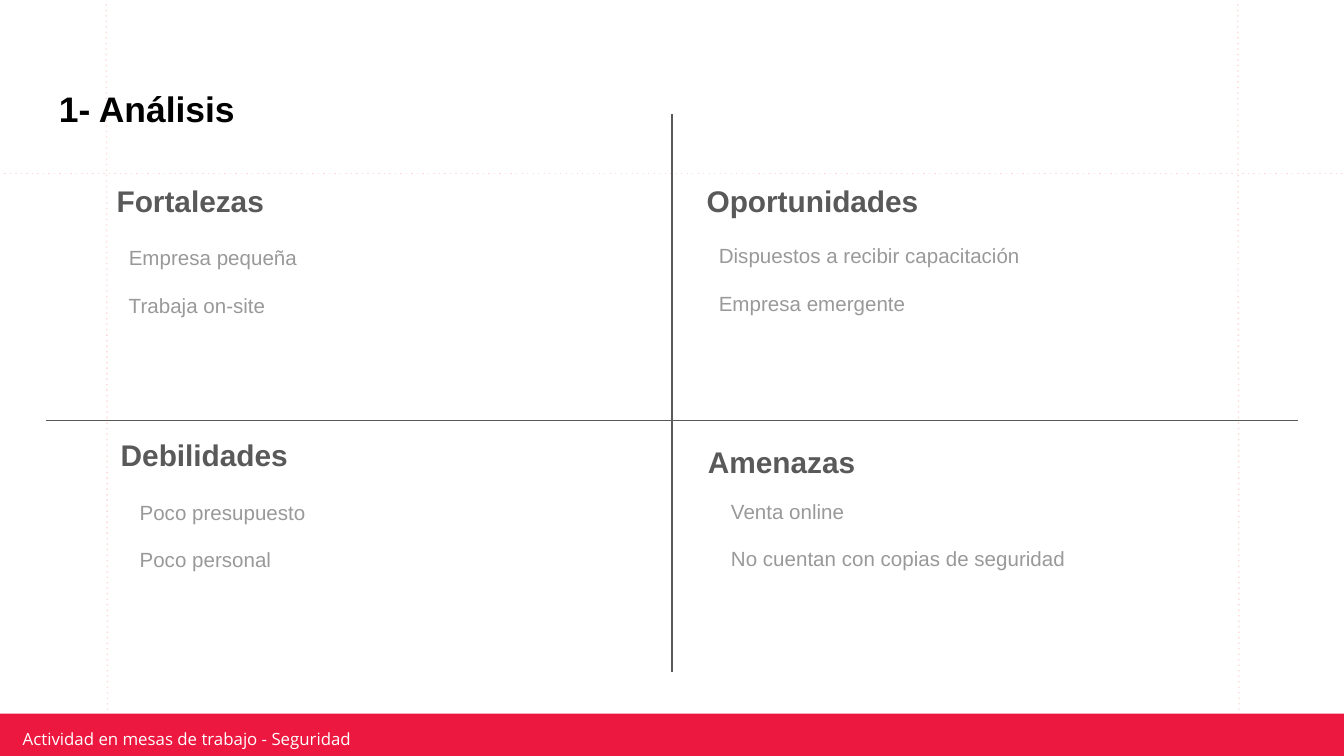
from dataclasses import dataclass

from lxml.etree import SubElement
from pptx import Presentation
from pptx.dml.color import RGBColor
from pptx.enum.shapes import MSO_CONNECTOR, MSO_SHAPE
from pptx.enum.text import MSO_ANCHOR, MSO_AUTO_SIZE
from pptx.oxml.ns import qn
from pptx.slide import Slide
from pptx.util import Pt


@dataclass(frozen=True)
class Style:
    size: float
    color: str
    bold: bool = False
    font: str = "Arial"
    anchor: MSO_ANCHOR = MSO_ANCHOR.TOP
    fit: MSO_AUTO_SIZE = MSO_AUTO_SIZE.SHAPE_TO_FIT_TEXT
    side_inset: float = 7.2
    end_inset: float = 7.2


@dataclass(frozen=True)
class Rule:
    start: tuple[float, float]
    end: tuple[float, float]
    color: str
    dotted: bool = False


@dataclass(frozen=True)
class Item:
    text: str
    width: float


@dataclass(frozen=True)
class Quadrant:
    heading: Item
    heading_at: tuple[float, float]
    items_at: tuple[float, float]
    items: tuple[Item, ...]
    pitch: float = 25.2


WIDTH, HEIGHT = 720, 405
RED, PINK, DARK, GRAY = "EC183F", "FCD8D6", "595959", "999999"

FOOTER = Style(9, "FFFFFF", font="Open Sans", anchor=MSO_ANCHOR.MIDDLE,
               fit=MSO_AUTO_SIZE.NONE, side_inset=3.6, end_inset=1.44)
TITLE = Style(19, "000000", bold=True, anchor=MSO_ANCHOR.MIDDLE,
              fit=MSO_AUTO_SIZE.NONE)
HEADING = Style(16, DARK, bold=True)
ENTRY = Style(11, GRAY)

GUIDES = (
    Rule((56.9, -0.7), (57.6, 383.8), PINK, True),
    Rule((663.1, -0.7), (663.8, 383.8), PINK, True),
    Rule((-0.7, 92.9), (722.2, 92.9), PINK, True),
    Rule((-1.4, 383), (721.4, 383), PINK, True),
)
AXES = (
    Rule((360, 61.2), (360, 360), DARK),
    Rule((24.5, 225.4), (695.5, 225.4), DARK),
)
QUADRANTS = (
    Quadrant(Item("Fortalezas", 198), (55.4, 90.7), (61.9, 124.6),
             (Item("Empresa pequeña", 135.4), Item("Trabaja on-site", 146.9)),
             25.9),
    Quadrant(Item("Debilidades", 198), (57.6, 226.8), (67.7, 261.4),
             (Item("Poco presupuesto", 236.2), Item("Poco personal", 236.2))),
    Quadrant(Item("Oportunidades", 198), (371.5, 90.7), (378, 123.8),
             (Item("Dispuestos a recibir capacitación", 246.2),
              Item("Empresa emergente", 304.6))),
    Quadrant(Item("Amenazas", 211), (372.2, 230.4), (384.5, 260.6),
             (Item("Venta online", 272.2),
              Item("No cuentan con copias de seguridad", 272.2))),
)


def rgb(color: str) -> RGBColor:
    return RGBColor.from_string(color)


def set_all(target: object, values: dict[str, object]) -> None:
    for name, value in values.items():
        setattr(target, name, value)


def draw_rule(page: Slide, rule: Rule) -> None:
    connector = page.shapes.add_connector(
        MSO_CONNECTOR.STRAIGHT, *map(Pt, rule.start + rule.end))
    connector.line.width = Pt(0.75)
    connector.line.color.rgb = rgb(rule.color)
    properties = connector._element.spPr
    if rule.dotted:
        SubElement(properties.find(qn("a:ln")), qn("a:prstDash"), val="dot")
    SubElement(properties, qn("a:effectLst"))


def draw_bar(page: Slide, left: float, top: float, width: float,
             height: float, color: str) -> None:
    bar = page.shapes.add_shape(
        MSO_SHAPE.RECTANGLE, *map(Pt, (left, top, width, height)))
    bar.shadow.inherit = False
    bar.fill.solid()
    bar.fill.fore_color.rgb = rgb(color)
    bar.line.fill.background()


def draw_text(page: Slide, text: str, left: float, top: float, width: float,
              height: float, style: Style) -> None:
    box = page.shapes.add_textbox(*map(Pt, (left, top, width, height)))
    frame = box.text_frame
    set_all(frame, {
        "word_wrap": True,
        "auto_size": style.fit,
        "vertical_anchor": style.anchor,
        "margin_left": Pt(style.side_inset),
        "margin_right": Pt(style.side_inset),
        "margin_top": Pt(style.end_inset),
        "margin_bottom": Pt(style.end_inset),
    })
    span = frame.paragraphs[0].add_run()
    span.text = text
    set_all(span.font, {
        "name": style.font, "size": Pt(style.size), "bold": style.bold})
    span.font.color.rgb = rgb(style.color)


def draw_quadrant(page: Slide, quadrant: Quadrant) -> None:
    heading = quadrant.heading
    draw_text(page, heading.text, *quadrant.heading_at, heading.width, 33.8,
              HEADING)
    left, top = quadrant.items_at
    for index, item in enumerate(quadrant.items):
        draw_text(page, item.text, left, top + index * quadrant.pitch,
                  item.width, 28.1, ENTRY)


def main() -> None:
    deck = Presentation()
    set_all(deck, {"slide_width": Pt(WIDTH), "slide_height": Pt(HEIGHT)})
    page = deck.slides.add_slide(deck.slide_layouts[6])
    for guide in GUIDES:
        draw_rule(page, guide)
    draw_bar(page, -1.4, 382.3, 722.2, 25.9, RED)
    draw_text(page, "Actividad en mesas de trabajo - Seguridad",
              8.6, 390.2, 299.5, 10.8, FOOTER)
    draw_text(page, "1- Análisis", 24.5, 35.3, 671, 45.4, TITLE)
    for axis in AXES:
        draw_rule(page, axis)
    for quadrant in QUADRANTS:
        draw_quadrant(page, quadrant)
    deck.save("out.pptx")


if __name__ == "__main__":
    main()
